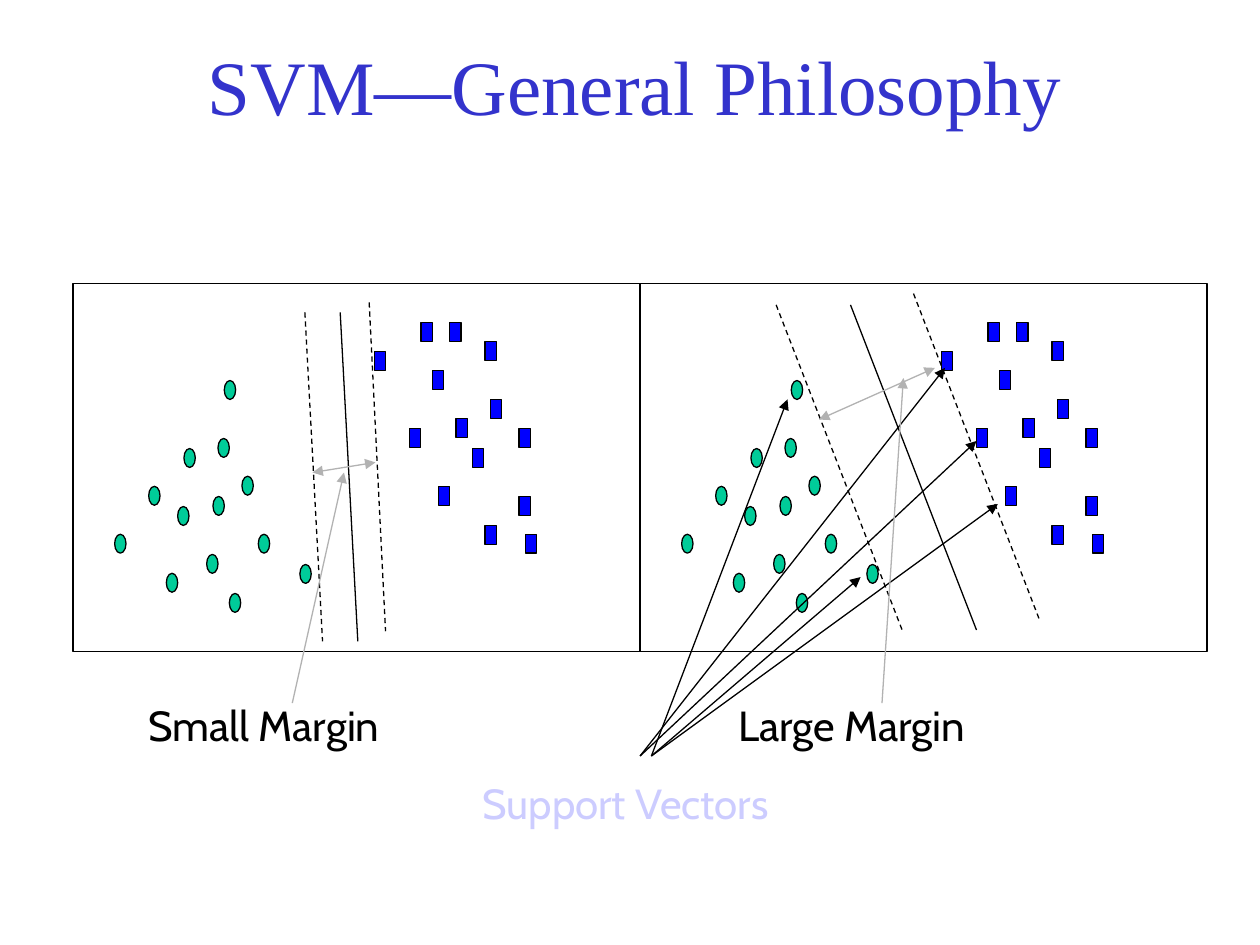
"""Build the slide comparing small and large SVM margins."""
from lxml import etree
from pptx import Presentation
from pptx.dml.color import RGBColor
from pptx.enum.dml import MSO_LINE_DASH_STYLE as DASH
from pptx.enum.shapes import MSO_CONNECTOR as CONN, MSO_SHAPE as SHAPE
from pptx.enum.text import MSO_ANCHOR, MSO_AUTO_SIZE, PP_ALIGN
from pptx.oxml.ns import qn
from pptx.util import Inches, Pt

BLACK, GREY, GREEN, BLUE = "000000", "B2B2B2", "00CC99", "0000FF"
PANEL_STEP = 4.5
CIRCLES = [(1.32, 4.55), (1.41, 4.02), (0.91, 4.24), (1.18, 3.86), (1.64, 4.4),
           (1.46, 3.56), (1.69, 3.94), (1.73, 3.48), (1.92, 3.78), (2.05, 4.24),
           (1.82, 4.71), (2.38, 4.48), (1.78, 3.02)]
SQUARES = [(3.25, 3.4), (2.97, 2.79), (3.34, 2.56), (3.48, 3.86), (3.43, 2.94),
           (3.62, 3.32), (3.57, 2.56), (3.85, 2.71), (3.75, 3.56), (3.89, 3.17),
           (3.85, 4.17), (4.12, 3.4), (4.12, 3.94), (4.17, 4.24)]
SMALL_LINES = [((2.93, 2.4), (3.06, 5.01), True), ((2.42, 2.48), (2.56, 5.09), True),
               ((2.7, 2.48), (2.84, 5.09), False)]
LARGE_LINES = [((6.16, 2.42), (7.16, 5), True), ((7.25, 2.33), (8.25, 4.92), True),
               ((6.75, 2.42), (7.75, 5), False)]
SUPPORT_ARROWS = [((5.08, 6), (7.5, 2.92)), ((5.08, 6), (7.75, 3.5)),
                  ((5.17, 6), (7.92, 4)), ((5.17, 6), (6.83, 4.58)),
                  ((5.17, 6), (6.25, 3.17))]


def color(value):
    """Turn a hex string into a colour."""
    return RGBColor.from_string(value)


def write(tf, text, name, size, rgb, align):
    """Put one formatted run into a text frame."""
    p = tf.paragraphs[0]
    p.alignment = align
    r = p.add_run()
    r.text = text
    for key, value in {"name": name, "size": Pt(size)}.items():
        setattr(r.font, key, value)
    r.font.color.rgb = color(rgb)


def add_title(s, text):
    """Place and fill the title placeholder."""
    sp = s.shapes.title
    box = {"left": 0.33, "top": 0.42, "width": 9.42, "height": 0.67}
    for key, value in box.items():
        setattr(sp, key, Inches(value))
    sp.text_frame.auto_size = MSO_AUTO_SIZE.NONE
    sp.text_frame.vertical_anchor = MSO_ANCHOR.BOTTOM
    write(sp.text_frame, text, "Times New Roman", 44, "3333CC", PP_ALIGN.CENTER)


def add_label(shapes, text, x, y, w, rgb=BLACK):
    """Add a left-aligned caption."""
    tf = shapes.add_textbox(Inches(x), Inches(y), Inches(w), Inches(0.5)).text_frame
    tf.word_wrap = True
    write(tf, text, "Cabin", 24, rgb, PP_ALIGN.LEFT)


def add_box(shapes, kind, x, y, w=0.09, h=0.15, fill=None):
    """Add an outlined shape, filled when a colour is given."""
    sp = shapes.add_shape(kind, Inches(x), Inches(y), Inches(w), Inches(h))
    sp.shadow.inherit = False
    if fill:
        sp.fill.solid()
        sp.fill.fore_color.rgb = color(fill)
    else:
        sp.fill.background()
    sp.line.color.rgb = color(BLACK)
    sp.line.width = Pt(0.75)


def add_line(shapes, start, end, rgb=BLACK, dashed=False, ends=()):
    """Add a straight line with optional dashes and arrowheads."""
    sp = shapes.add_connector(CONN.STRAIGHT, *map(Inches, (*start, *end)))
    sp.line.color.rgb = color(rgb)
    sp.line.width = Pt(0.75)
    if dashed:
        sp.line.dash_style = DASH.DASH
    ln = sp.line._get_or_add_ln()
    for tag in ends:
        etree.SubElement(ln, qn(tag)).set("type", "triangle")
    etree.SubElement(sp._element.spPr, qn("a:effectLst"))


def add_panel(s, dx, lines):
    """Add one scatter panel with its separating lines."""
    shapes = s.shapes.add_group_shape().shapes
    for kind, fill, points in ((SHAPE.OVAL, GREEN, CIRCLES),
                               (SHAPE.RECTANGLE, BLUE, SQUARES)):
        for x, y in points:
            add_box(shapes, kind, x + dx, y, fill=fill)
    add_box(shapes, SHAPE.RECTANGLE, 0.58 + dx, 2.25, 4.5, 2.92)
    for start, end, dashed in lines:
        add_line(shapes, start, end, dashed=dashed)


def add_support_vectors(s):
    """Add the support vector caption and its arrows."""
    shapes = s.shapes.add_group_shape().shapes
    add_label(shapes, "Support Vectors", 3.73, 6.12, 2.71, "CCCCFF")
    for start, end in SUPPORT_ARROWS:
        add_line(shapes, start, end, ends=["a:tailEnd"])


def add_margin(s, text, x, w, span, pointer):
    """Add a margin caption, its double arrow and its pointer."""
    shapes = s.shapes.add_group_shape().shapes
    add_label(shapes, text, x, 5.5, w)
    add_line(shapes, *span, GREY, ends=["a:headEnd", "a:tailEnd"])
    add_line(shapes, *pointer, GREY, ends=["a:tailEnd"])


def main():
    """Build and save the slide."""
    prs = Presentation()
    prs.slide_width, prs.slide_height = Inches(10), Inches(7.5)
    s = prs.slides.add_slide(prs.slide_layouts[5])
    add_title(s, "SVM—General Philosophy")
    for i, lines in enumerate((SMALL_LINES, LARGE_LINES)):
        add_panel(s, i * PANEL_STEP, lines)
    add_support_vectors(s)
    add_margin(s, "Small Margin", 1.08, 2.26,
               ((2.48, 3.75), (2.98, 3.67)), ((2.32, 5.58), (2.73, 3.75)))
    add_margin(s, "Large Margin", 5.76, 2.3,
               ((6.5, 3.33), (7.42, 2.92)), ((7, 5.58), (7.17, 3)))
    prs.save("out.pptx")


if __name__ == "__main__":
    main()
